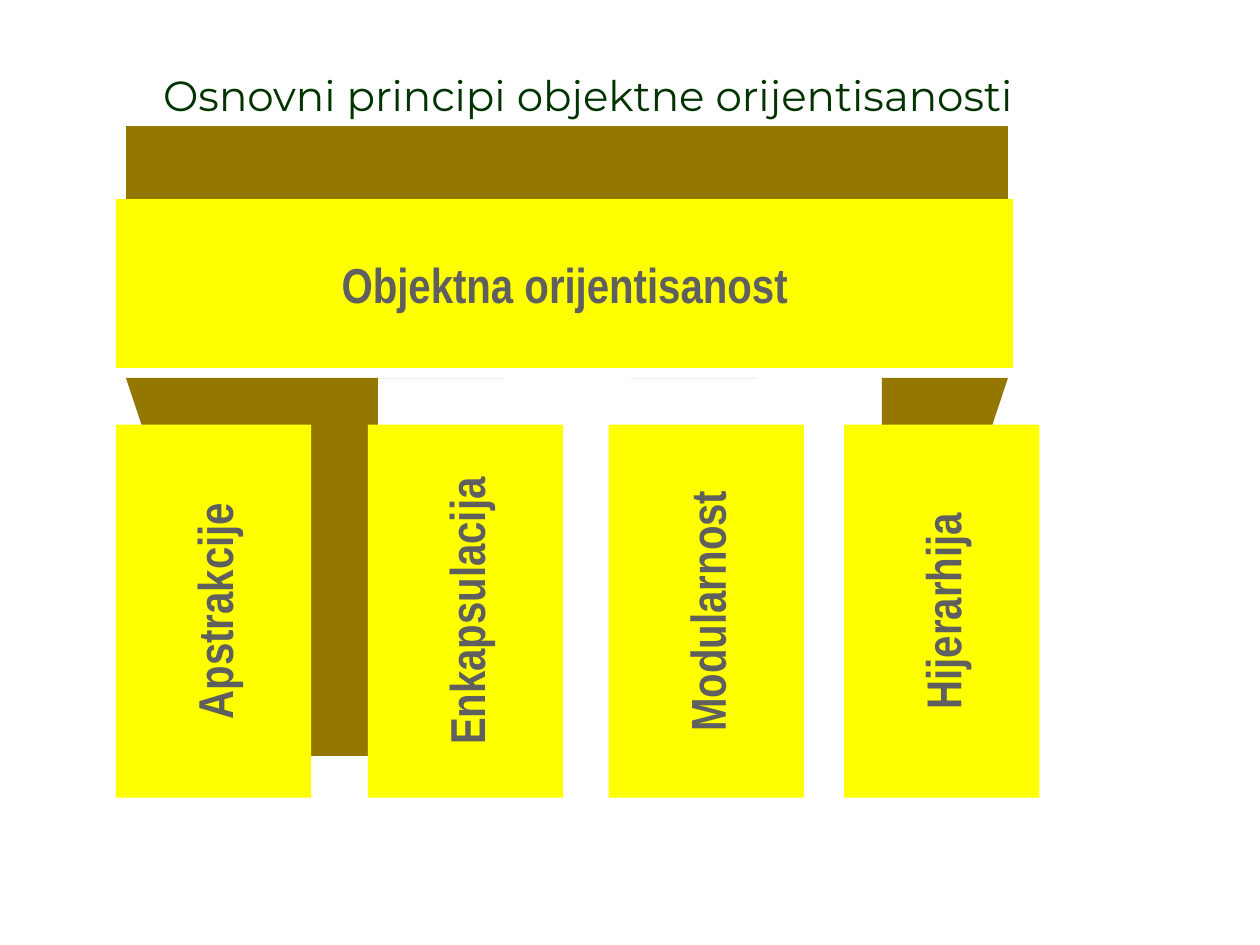
import pptx
import pptx.util
import pptx.dml.color
import pptx.enum.shapes
import pptx.enum.text

In, Pt = pptx.util.Inches, pptx.util.Pt
ANCHOR = pptx.enum.text.MSO_ANCHOR

# Content
TITLE = "Osnovni principi objektne orijentisanosti"
BEAM = "Objektna orijentisanost"
# Pillar: text, left, shift of the back face's left and right edges
PILLARS = [
    ("Apstrakcije", 0.92, 0.25, 0.12),
    ("Enkapsulacija", 2.92, 0.06, -0.06),
    ("Modularnost", 4.83, 0.06, -0.06),
    ("Hijerarhija", 6.7, -0.12, -0.25),
]

THEME = dict(front="FFFF00", side="947700", label="5F5F5F", title="003300",
             label_font="Arial Narrow", title_font="Montserrat",
             label_size=28, title_size=24)

# Layout, in inches
SLIDE_W, SLIDE_H = 10, 7.5
LEFT = 0.92
BEAM_TOP, BEAM_W, BEAM_H = 1.58, 7.12, 1.34
PILLAR_TOP, PILLAR_W, PILLAR_H = 3.37, 1.55, 2.96
DEPTH, FOOT_RISE = 0.12, 0.36


def rgb(name):
    return pptx.dml.color.RGBColor.from_string(THEME[name])


def write(sp, text, role, bold=False, wrap=False, anchor=ANCHOR.MIDDLE):
    tf = sp.text_frame
    tf.word_wrap = wrap
    tf.vertical_anchor = anchor
    p = tf.paragraphs[0]
    p.alignment = pptx.enum.text.PP_ALIGN.CENTER
    r = p.add_run()
    r.text = text
    r.font.name = THEME[role + "_font"]
    r.font.size = Pt(THEME[role + "_size"])
    r.font.bold = bold
    r.font.color.rgb = rgb(role)


def paint(sp, color):
    sp.shadow.inherit = False
    sp.fill.solid()
    sp.fill.fore_color.rgb = rgb(color)
    sp.line.fill.background()


def back_edge(x, y, h, shift, outward):
    """Points from the front corner to the back top corner on one side."""
    back = (x + shift, y - DEPTH)
    if shift * outward > 0:
        return [(x, y + h), (x + shift, y + h - FOOT_RISE), back]
    return [(x, y), back]


def add_block(s, text, x, y, w, h, left_shift, right_shift, upright=False):
    # Top and side faces, behind the front
    points = (back_edge(x, y, h, left_shift, -1)
              + back_edge(x + w, y, h, right_shift, 1)[::-1])
    builder = s.shapes.build_freeform(*points[0], scale=In(1))
    builder.add_line_segments(points[1:], close=True)
    paint(builder.convert_to_shape(), "side")
    # Front face; an upright one is a turned rectangle about the same centre
    bw, bh = (h, w) if upright else (w, h)
    sp = s.shapes.add_shape(pptx.enum.shapes.MSO_SHAPE.RECTANGLE,
                            In(x + (w - bw) / 2), In(y + (h - bh) / 2),
                            In(bw), In(bh))
    sp.rotation = 270 if upright else 0
    paint(sp, "front")
    write(sp, text, "label", bold=True)


def main():
    prs = pptx.Presentation()
    prs.slide_width, prs.slide_height = In(SLIDE_W), In(SLIDE_H)
    s = prs.slides.add_slide(prs.slide_layouts[6])

    # Beam over four pillars
    add_block(s, BEAM, LEFT, BEAM_TOP, BEAM_W, BEAM_H, 0.28, -0.28)
    for text, x, left_shift, right_shift in PILLARS:
        add_block(s, text, x, PILLAR_TOP, PILLAR_W, PILLAR_H,
                  left_shift, right_shift, upright=True)

    # Title
    sp = s.shapes.add_textbox(In(0.58), In(0.5), In(8.17), In(0.5))
    write(sp, TITLE, "title", wrap=True, anchor=ANCHOR.BOTTOM)

    prs.save("out.pptx")


if __name__ == "__main__":
    main()
